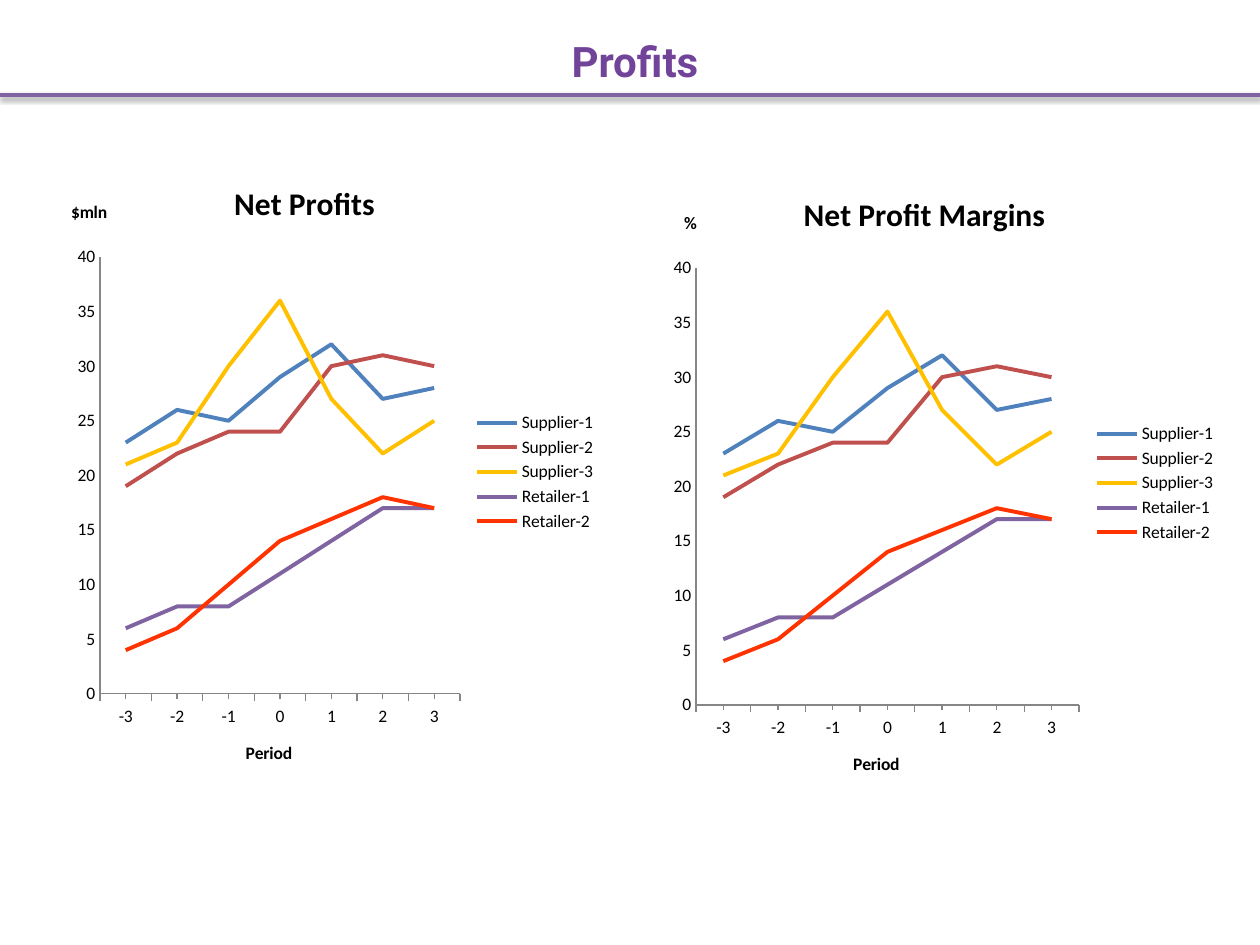
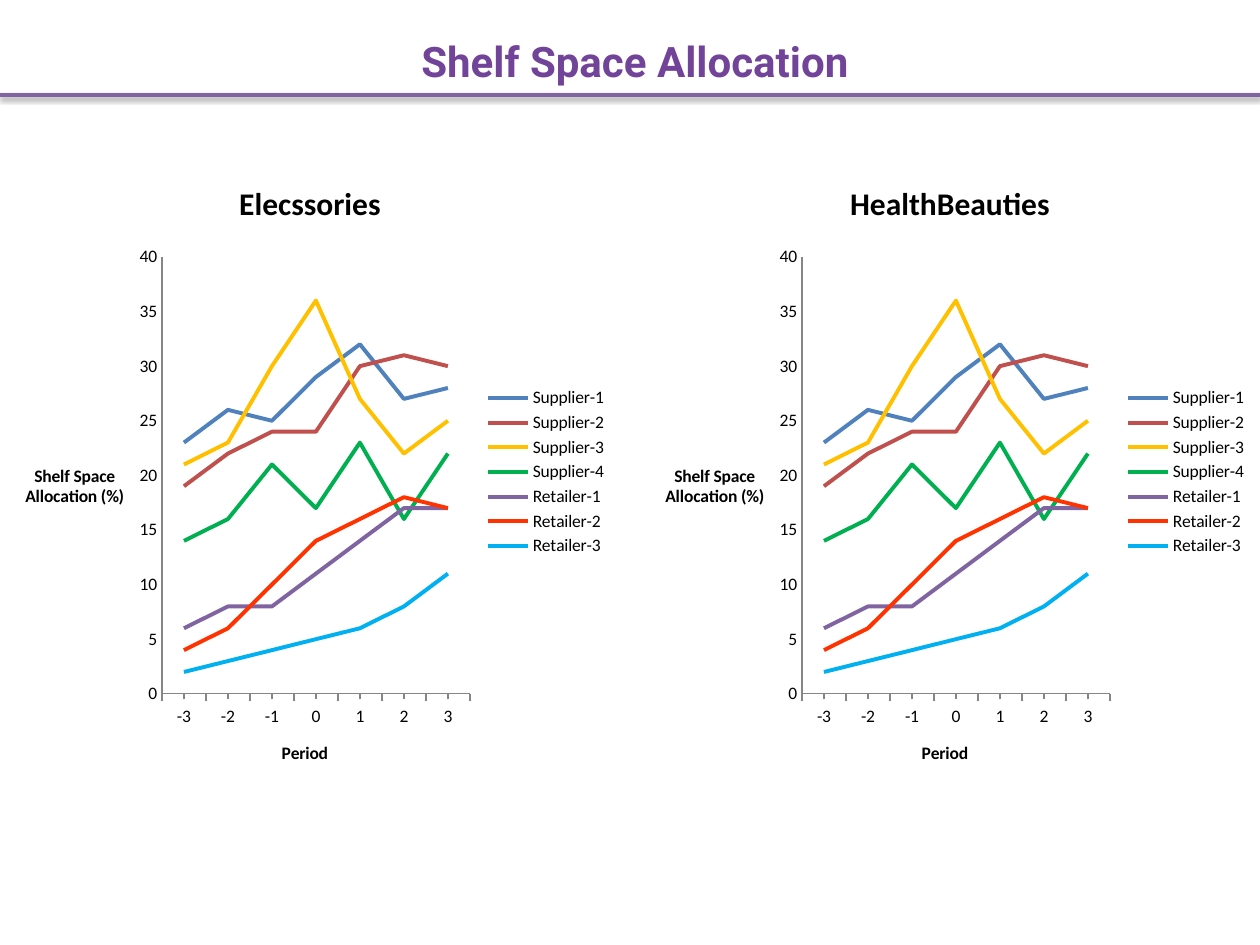
import pptx
import pptx.util
import pptx.chart.data
import pptx.oxml
import pptx.oxml.ns
from pptx.dml.color import RGBColor
from pptx.enum.chart import XL_CHART_TYPE, XL_LEGEND_POSITION, XL_TICK_MARK
from pptx.enum.shapes import MSO_CONNECTOR
from pptx.enum.text import MSO_ANCHOR, PP_ALIGN

qn = pptx.oxml.ns.qn
Pt = pptx.util.Pt

# Colours
TITLE = RGBColor(0x71, 0x44, 0x9A)
BLACK = RGBColor(0, 0, 0)
AXIS = RGBColor(0x86, 0x86, 0x86)
BLUE = RGBColor(0x4F, 0x81, 0xBD)
RED = RGBColor(0xC0, 0x50, 0x4D)
GOLD = RGBColor(0xFF, 0xC0, 0x00)
GREEN = RGBColor(0x00, 0xB0, 0x50)
PURPLE = RGBColor(0x80, 0x64, 0xA2)
ORANGE = RGBColor(0xFF, 0x33, 0x00)
SKY = RGBColor(0x00, 0xB0, 0xF0)

# Data shared by the charts
PERIODS = ["-3", "-2", "-1", "0", "1", "2", "3"]
SHELF = [
    ("Supplier-1", BLUE, (23, 26, 25, 29, 32, 27, 28)),
    ("Supplier-2", RED, (19, 22, 24, 24, 30, 31, 30)),
    ("Supplier-3", GOLD, (21, 23, 30, 36, 27, 22, 25)),
    ("Supplier-4", GREEN, (14, 16, 21, 17, 23, 16, 22)),
    ("Retailer-1", PURPLE, (6, 8, 8, 11, 14, 17, 17)),
    ("Retailer-2", ORANGE, (4, 6, 10, 14, 16, 18, 17)),
    ("Retailer-3", SKY, (2, 3, 4, 5, 6, 8, 11)),
]
PROFITS = [row for row in SHELF if row[0] not in ("Supplier-4", "Retailer-3")]

SHADOW = (
    '<a:effectLst xmlns:a="http://schemas.openxmlformats.org/drawingml/2006/main">'
    '<a:outerShdw blurRad="39370" dist="20320" dir="5400000" rotWithShape="0">'
    '<a:srgbClr val="000000"><a:alpha val="38000"/></a:srgbClr>'
    '</a:outerShdw></a:effectLst>')


def px(n):
    return pptx.util.Emu(round(n * 914400 / 126))


def set_layout(parent, index, **fractions):
    """Give a chart part a manual layout in fractions of the chart."""
    for old in parent.findall(qn("c:layout")):
        parent.remove(old)
    inner = '<c:layoutTarget val="inner"/>' if "w" in fractions else ""
    modes = "".join(f'<c:{k}Mode val="edge"/>' for k in "xy")
    values = "".join(f'<c:{k} val="{v:.4f}"/>' for k, v in fractions.items())
    parent.insert(index, pptx.oxml.parse_xml(
        '<c:layout xmlns:c="http://schemas.openxmlformats.org/drawingml/2006/chart">'
        f'<c:manualLayout>{inner}{modes}{values}</c:manualLayout></c:layout>'))


class Deck:
    font, title_font = "Calibri", "Roboto"

    def __init__(self):
        self.prs = pptx.Presentation()
        self.prs.slide_width, self.prs.slide_height = px(1260), px(945)

    def slide(self, title):
        self.s = self.prs.slides.add_slide(self.prs.slide_layouts[5])
        self.title(title)
        self.rule(95)

    def title(self, text):
        sp = self.s.shapes.title
        sp.left, sp.top, sp.width, sp.height = px(21), px(6), px(1228), px(110)
        tf = sp.text_frame
        tf.text = text
        tf.vertical_anchor = MSO_ANCHOR.MIDDLE
        p = tf.paragraphs[0]
        p.alignment = PP_ALIGN.CENTER
        self.style(p.runs[0], 24, self.title_font, TITLE)

    def style(self, r, size, font=font, color=BLACK):
        r.font.size, r.font.name, r.font.bold = Pt(size), font, True
        r.font.color.rgb = color

    def rule(self, y):
        line = self.s.shapes.add_connector(
            MSO_CONNECTOR.STRAIGHT, 0, px(y), px(1260), px(y))
        line.line.color.rgb, line.line.width = PURPLE, Pt(2)
        line.element.spPr.append(pptx.oxml.parse_xml(SHADOW))

    def caption(self, owner, text, size):
        owner.text_frame.text = text
        self.style(owner.text_frame.paragraphs[0].runs[0], size)

    def chart(self, title, unit, rows, left, top, width, plot, unit_at=None):
        height = 630
        data = pptx.chart.data.CategoryChartData()
        data.categories = PERIODS
        for name, _, values in rows:
            data.add_series(name, values)
        chart = self.s.shapes.add_chart(
            XL_CHART_TYPE.LINE, px(left), px(top), px(width), px(height), data).chart
        chart.font.size, chart.font.name = Pt(10), self.font
        chart.font.color.rgb = BLACK
        chart.has_title = True
        self.caption(chart.chart_title, title, 18)
        chart.has_legend = True
        chart.legend.position = XL_LEGEND_POSITION.RIGHT
        chart.legend.include_in_layout = False

        # Lines
        chart.plots[0].vary_by_categories = False
        for series, (_, color, _) in zip(chart.plots[0].series, rows):
            series.smooth = False
            series.format.line.color.rgb = color
            series.format.line.width = Pt(2.25)

        # Axes
        for axis, text, tick in (
                (chart.category_axis, "Period", XL_TICK_MARK.OUTSIDE),
                (chart.value_axis, unit, XL_TICK_MARK.NONE)):
            axis.has_major_gridlines = False
            axis.major_tick_mark = axis.minor_tick_mark = tick
            axis.format.line.color.rgb = AXIS
            axis.format.line.width = Pt(0.75)
            self.caption(axis.axis_title, text, 10)
        axis.minimum_scale, axis.maximum_scale, axis.major_unit = 0, 40, 5
        unit_title = axis.axis_title.element
        body = next(unit_title.iter(qn("a:bodyPr")))
        body.set("rot", "0")
        body.set("vert", "horz")

        # Placement inside the chart
        x, w = plot
        area = next(chart.element.iter(qn("c:plotArea")))
        set_layout(area, 0, x=x / width, y=100 / height, w=w / width, h=437 / height)
        if unit_at:
            set_layout(unit_title, 1, x=unit_at[0] / width, y=unit_at[1] / height)


deck = Deck()

# Profits
deck.slide("Profits")
deck.chart("Net Profits", "$mln", PROFITS, 0, 157, 609, (100, 360), (68, 40))
deck.chart("Net Profit Margins", "%", PROFITS, 620, 168, 609, (76, 383), (61, 40))

# Shelf space
deck.slide("Shelf Space Allocation")
for left, product in ((0, "Elecssories"), (640, "HealthBeauties")):
    deck.chart(product, "Shelf Space Allocation (%)", SHELF, left, 157, 620, (162, 308))

deck.prs.save("out.pptx")
